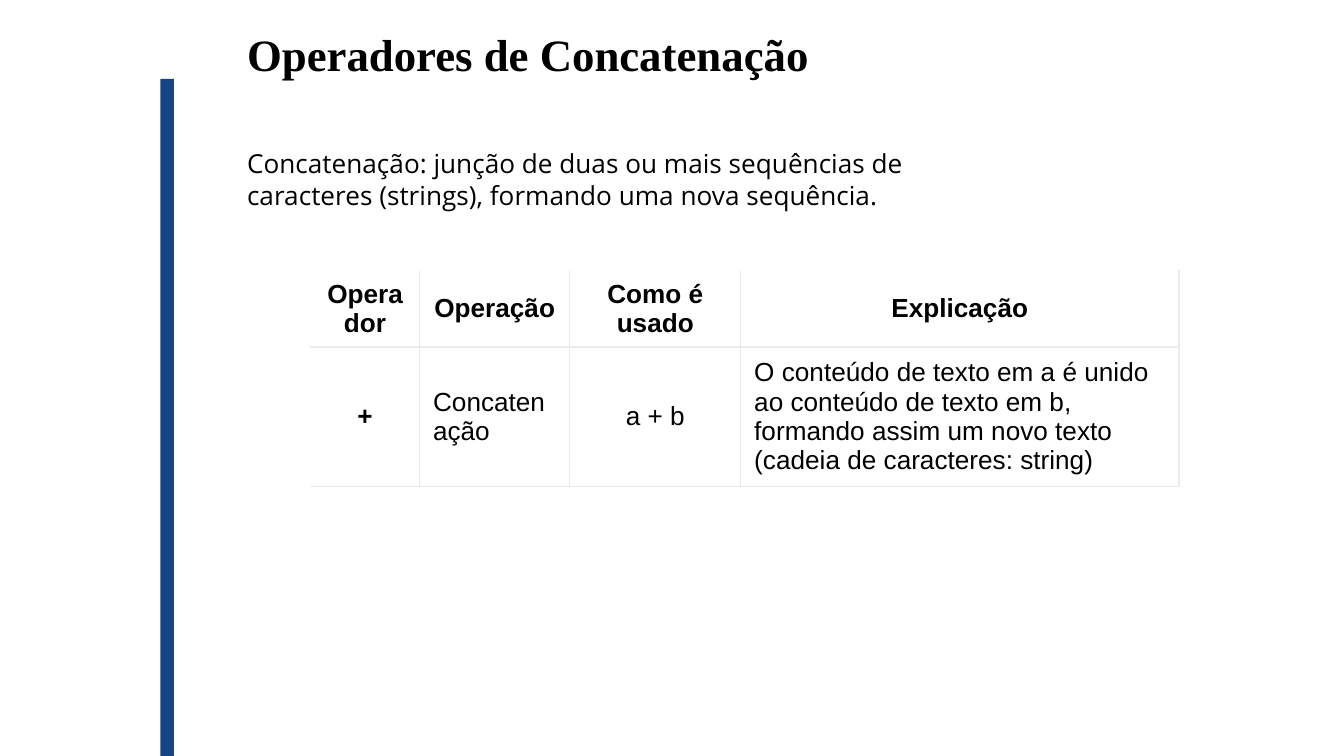
from dataclasses import dataclass

from lxml.etree import SubElement
from pptx import Presentation
from pptx.dml.color import RGBColor
from pptx.enum.shapes import MSO_SHAPE
from pptx.enum.text import MSO_ANCHOR, PP_ALIGN
from pptx.oxml.ns import qn
from pptx.util import Cm, Pt


@dataclass(frozen=True)
class Theme:
    ink: str = "000000"
    paper: str = "FFFFFF"
    bar: str = "174584"
    rule: str = "EBEBEB"
    head: int = 24
    body: int = 14
    line: float = 0.75


THEME = Theme()
COLS = [2.06, 2.84, 3.23, 8.28]
ROWS = [1.45, 2.63]
CELLS = [
    ["Operador", "Operação", "Como é usado", "Explicação"],
    ["+", "Concatenação", "a + b",
     "O conteúdo de texto em a é unido ao conteúdo de texto em b, "
     "formando assim um novo texto (cadeia de caracteres: string)"],
]


def style(frame, font, size, bold=False, align=PP_ALIGN.LEFT):
    for para in frame.paragraphs:
        para.alignment = align
        for run in para.runs:
            run.font.name = font
            run.font.size = Pt(size)
            run.font.bold = bold
            run.font.color.rgb = RGBColor.from_string(THEME.ink)


def add_bar(slide, *box):
    bar = slide.shapes.add_shape(MSO_SHAPE.RECTANGLE, *map(Cm, box))
    bar.shadow.inherit = False
    bar.fill.solid()
    bar.fill.fore_color.rgb = RGBColor.from_string(THEME.bar)
    bar.line.fill.background()


def add_text(slide, text, box, font, size, bold=False):
    frame = slide.shapes.add_textbox(*map(Cm, box)).text_frame
    frame.word_wrap = True
    frame.text = text
    style(frame, font, size, bold)


def add_rules(cell, sides):
    props = cell._tc.get_or_add_tcPr()
    for side in sides:
        line = SubElement(props, qn(f"a:ln{side}"), w=str(Pt(THEME.line)))
        fill = SubElement(line, qn("a:solidFill"))
        SubElement(fill, qn("a:srgbClr"), val=THEME.rule)


def add_grid(slide, left, top):
    size = map(Cm, (left, top, sum(COLS), sum(ROWS)))
    table = slide.shapes.add_table(len(ROWS), len(COLS), *size).table
    table.horz_banding = False
    for col, width in zip(table.columns, COLS):
        col.width = Cm(width)
    for row, height in zip(table.rows, ROWS):
        row.height = Cm(height)

    for r, texts in enumerate(CELLS):
        for c, text in enumerate(texts):
            cell = table.cell(r, c)
            cell.text = text
            cell.vertical_anchor = MSO_ANCHOR.MIDDLE
            # Outer left and top edges stay open
            add_rules(cell, ("L" if c else "") + "R" + ("T" if r else "") + "B")
            cell.fill.solid()
            cell.fill.fore_color.rgb = RGBColor.from_string(THEME.paper)
            # Body text in odd columns is left-aligned
            align = PP_ALIGN.LEFT if r and c % 2 else PP_ALIGN.CENTER
            style(cell.text_frame, "Arial", THEME.body, r == 0 or c == 0, align)


def main():
    deck = Presentation()
    deck.slide_width, deck.slide_height = Cm(25.4), Cm(14.29)
    slide = deck.slides.add_slide(deck.slide_layouts[6])

    # Side bar
    add_bar(slide, 3.03, 1.49, 0.26, 12.8)

    # Title and definition
    add_text(slide, "Operadores de Concatenação", (4.42, 0.38, 20.98, 1.27),
             "Times New Roman", THEME.head, True)
    add_text(slide, "Concatenação: junção de duas ou mais sequências de "
             "caracteres (strings), formando uma nova sequência.",
             (4.42, 2.67, 13.23, 1.45), "Open Sans", THEME.body)

    # Operator table
    add_grid(slide, 5.87, 5.11)

    deck.save("out.pptx")


if __name__ == "__main__":
    main()
